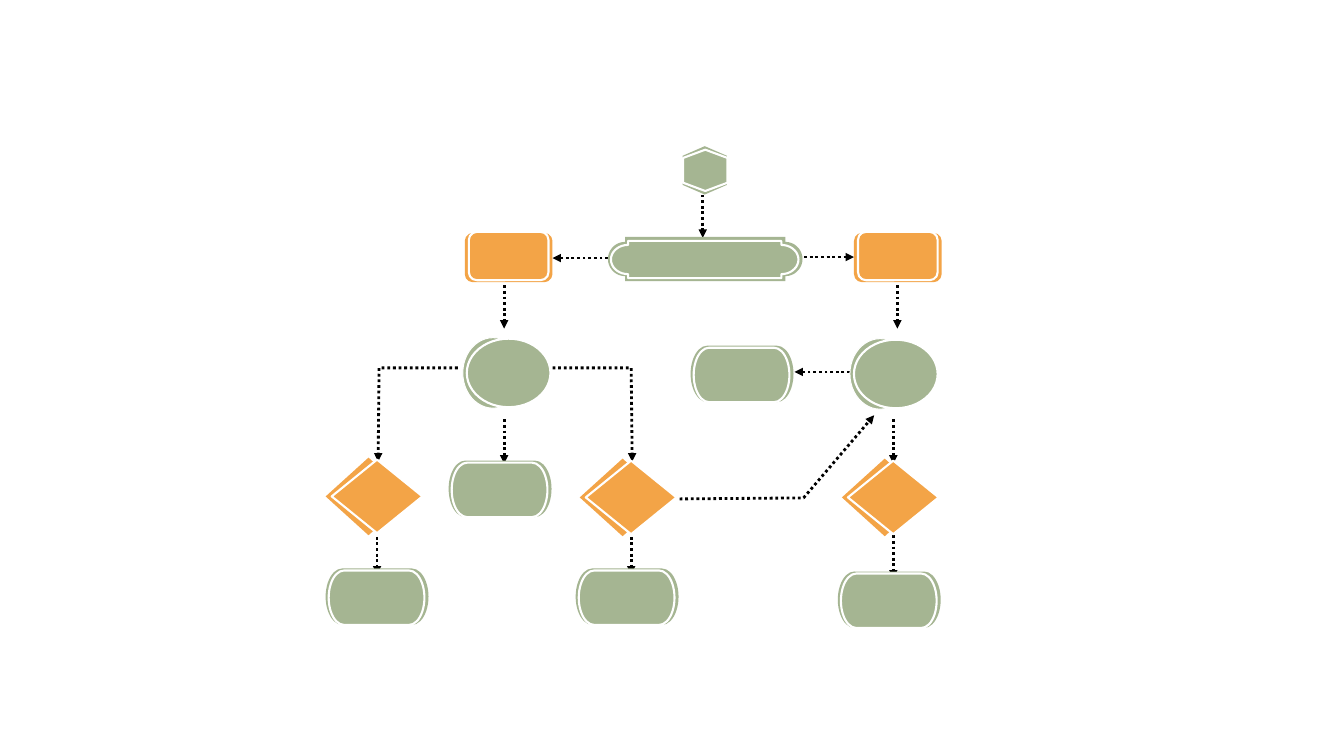
import math

from lxml import etree
from pptx import Presentation
from pptx.dml.color import RGBColor
from pptx.enum import dml, shapes
from pptx.oxml.ns import qn
from pptx.util import Inches, Pt

# Content: kind of node -> left and top of its back layer
NODES = [
    ("start", 6.75, 1.47),
    ("process", 4.61, 2.31), ("process", 8.47, 2.31),
    ("circle", 4.59, 3.35), ("circle", 8.43, 3.36),
    ("decision", 3.23, 4.54), ("decision", 5.75, 4.55), ("decision", 8.35, 4.55),
    ("terminator", 6.85, 3.43), ("terminator", 4.45, 4.57),
    ("terminator", 3.23, 5.64), ("terminator", 5.71, 5.64), ("terminator", 8.31, 5.67),
]
# Straight arrows: start and end
ARROWS = [
    ((6.97, 1.93), (6.97, 2.36)),
    ((7.92, 2.55), (8.47, 2.55)), ((6.03, 2.56), (5.48, 2.56)),
    ((5.0, 2.83), (5.0, 3.26)), ((8.9, 2.83), (8.9, 3.26)),
    ((8.43, 3.69), (7.88, 3.69)),
    ((5.0, 4.16), (5.0, 4.6)), ((8.86, 4.16), (8.86, 4.6)),
    ((3.74, 5.27), (3.74, 5.7)), ((6.26, 5.27), (6.26, 5.7)),
    ((8.86, 5.31), (8.86, 5.74)),
]
# Bent arrows: start, corner, end
BENT_ARROWS = [
    ((4.54, 3.65), (3.76, 3.65), (3.75, 4.58)),
    ((5.48, 3.65), (6.26, 3.65), (6.27, 4.58)),
    ((6.74, 4.95), (7.97, 4.94), (8.67, 4.12)),
]
# Banner layers: body left, right, top, bottom, then step at the corners
BANNER = [(6.2, 7.79, 2.35, 2.79, 0.05), (6.23, 7.75, 2.39, 2.76, 0.04)]
BANNER_BULGE = 0.17

THEME = {
    "green": RGBColor.from_string("A5B592"),
    "orange": RGBColor.from_string("F3A447"),
    "outline": RGBColor.from_string("FFFFFF"),
    "arrow": RGBColor.from_string("000000"),
    "thin": Pt(0.75), "outline_width": Pt(1.5), "arrow_width": Pt(2),
}
# Each kind: preset, fill, back size, front offset and size, rotation, back outline
PRESET = shapes.MSO_SHAPE
KINDS = {
    "start": (PRESET.FLOWCHART_PREPARATION, "green", (0.48, 0.44),
              (0.04, 0, 0.41, 0.44), 90, None),
    "process": (PRESET.FLOWCHART_ALTERNATE_PROCESS, "orange", (0.87, 0.49),
                (0.04, -0.01, 0.79, 0.48), 0, None),
    "circle": (PRESET.FLOWCHART_CONNECTOR, "green", (0.6, 0.7),
               (0.04, 0.01, 0.83, 0.68), 0, "thin"),
    "decision": (PRESET.FLOWCHART_DECISION, "orange", (0.85, 0.77),
                 (0.06, 0.02, 0.9, 0.73), 0, None),
    "terminator": (PRESET.FLOWCHART_TERMINATOR, "green", (1.02, 0.56),
                   (0.03, 0.02, 0.95, 0.54), 0, None),
}


def format_line(line, color, **values):
    line.color.rgb = THEME[color]
    for name, value in values.items():
        setattr(line, name, value)


def paint(shape, fill, outline=None):
    shape.shadow.inherit = False
    shape.fill.solid()
    shape.fill.fore_color.rgb = THEME[fill]
    if outline:
        format_line(shape.line, "outline", width=THEME[outline])
    else:
        shape.line.fill.background()


def draw_path(container, points, close):
    # The builder rounds to whole units, so points go in as EMU
    start, *others = [(Inches(x), Inches(y)) for x, y in points]
    builder = container.build_freeform(*start)
    builder.add_line_segments(others, close=close)
    shape = builder.convert_to_shape()
    shape.shadow.inherit = False
    return shape


def style_arrow(shape):
    format_line(shape.line, "arrow", width=THEME["arrow_width"],
                dash_style=dml.MSO_LINE.ROUND_DOT)
    properties = shape._element.spPr
    head = etree.SubElement(properties.find(qn("a:ln")), qn("a:tailEnd"))
    head.set("type", "triangle")
    if properties.find(qn("a:effectLst")) is None:
        etree.SubElement(properties, qn("a:effectLst"))


def add_node(slide, kind, left, top):
    preset, fill, back_size, front, rotation, back_outline = KINDS[kind]
    group = slide.shapes.add_group_shape()
    layers = [((0, 0, *back_size), back_outline), (front, "outline_width")]
    for (dx, dy, width, height), outline in layers:
        box = [Inches(n) for n in (left + dx, top + dy, width, height)]
        shape = group.shapes.add_shape(preset, *box)
        shape.rotation = rotation
        paint(shape, fill, outline)


def banner_outline(left, right, top, bottom, step):
    middle = (top + bottom) / 2
    radius = (bottom - top) / 2 - step
    angles = [math.radians(a) for a in range(-90, 91, 10)]
    arc = [(BANNER_BULGE * math.cos(a), radius * math.sin(a)) for a in angles]
    right_side = [(right + x, middle + y) for x, y in arc]
    left_side = [(left - x, middle - y) for x, y in arc]
    return [(left, top), (right, top), *right_side,
            (right, bottom), (left, bottom), *left_side]


def main():
    presentation = Presentation()
    presentation.slide_width = Inches(13.33)
    presentation.slide_height = Inches(7.5)
    slide = presentation.slides.add_slide(presentation.slide_layouts[6])

    # Arrows lie beneath the nodes
    for start, end in ARROWS:
        ends = [Inches(n) for n in (*start, *end)]
        style_arrow(slide.shapes.add_connector(shapes.MSO_CONNECTOR.STRAIGHT, *ends))
    for points in BENT_ARROWS:
        arrow = draw_path(slide.shapes, points, close=False)
        arrow.fill.background()
        style_arrow(arrow)

    # Central banner
    banner = slide.shapes.add_group_shape()
    for layer, outline in zip(BANNER, (None, "outline_width")):
        shape = draw_path(banner.shapes, banner_outline(*layer), close=True)
        paint(shape, "green", outline)

    # Two-layered nodes
    for kind, left, top in NODES:
        add_node(slide, kind, left, top)

    presentation.save("out.pptx")


if __name__ == "__main__":
    main()
